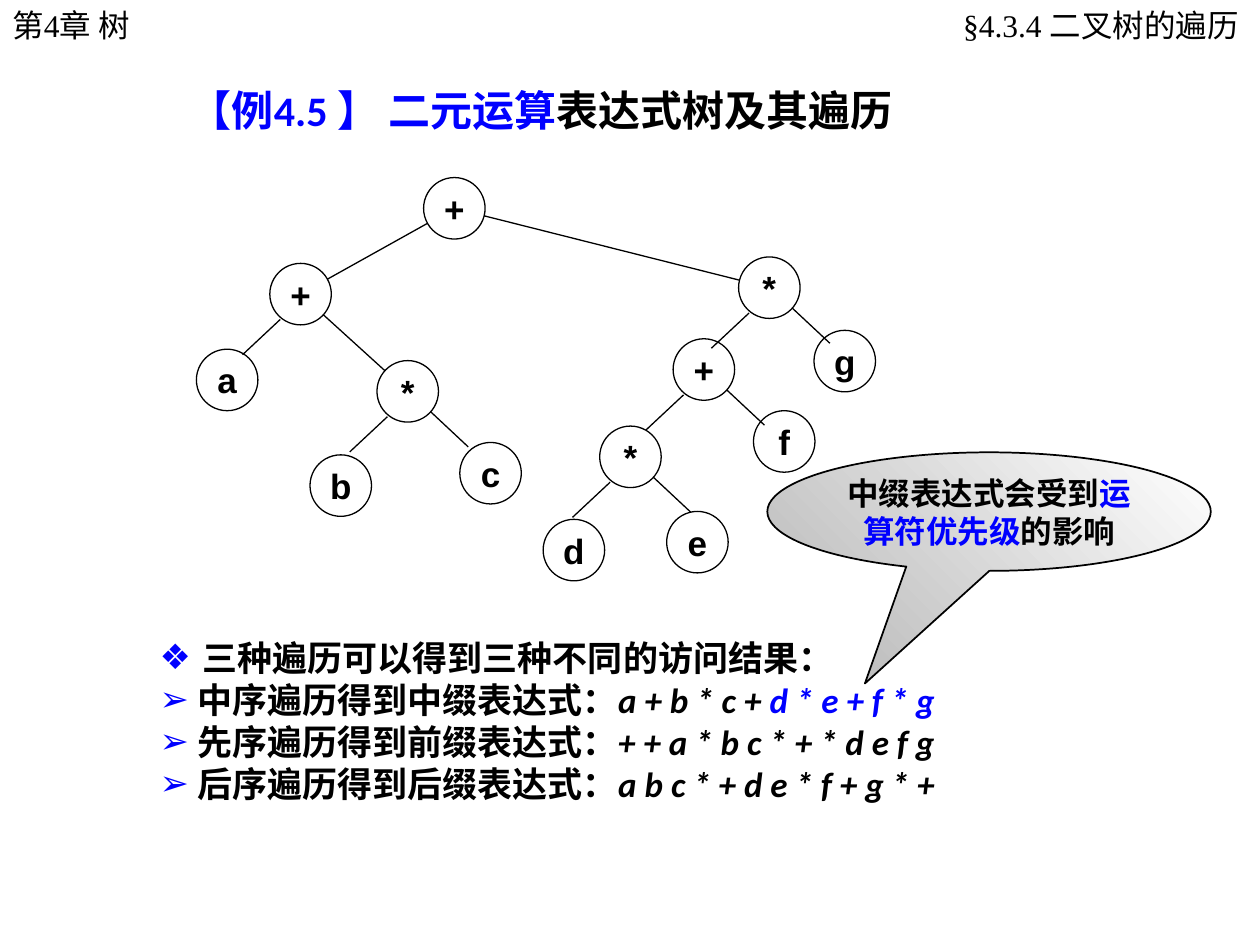
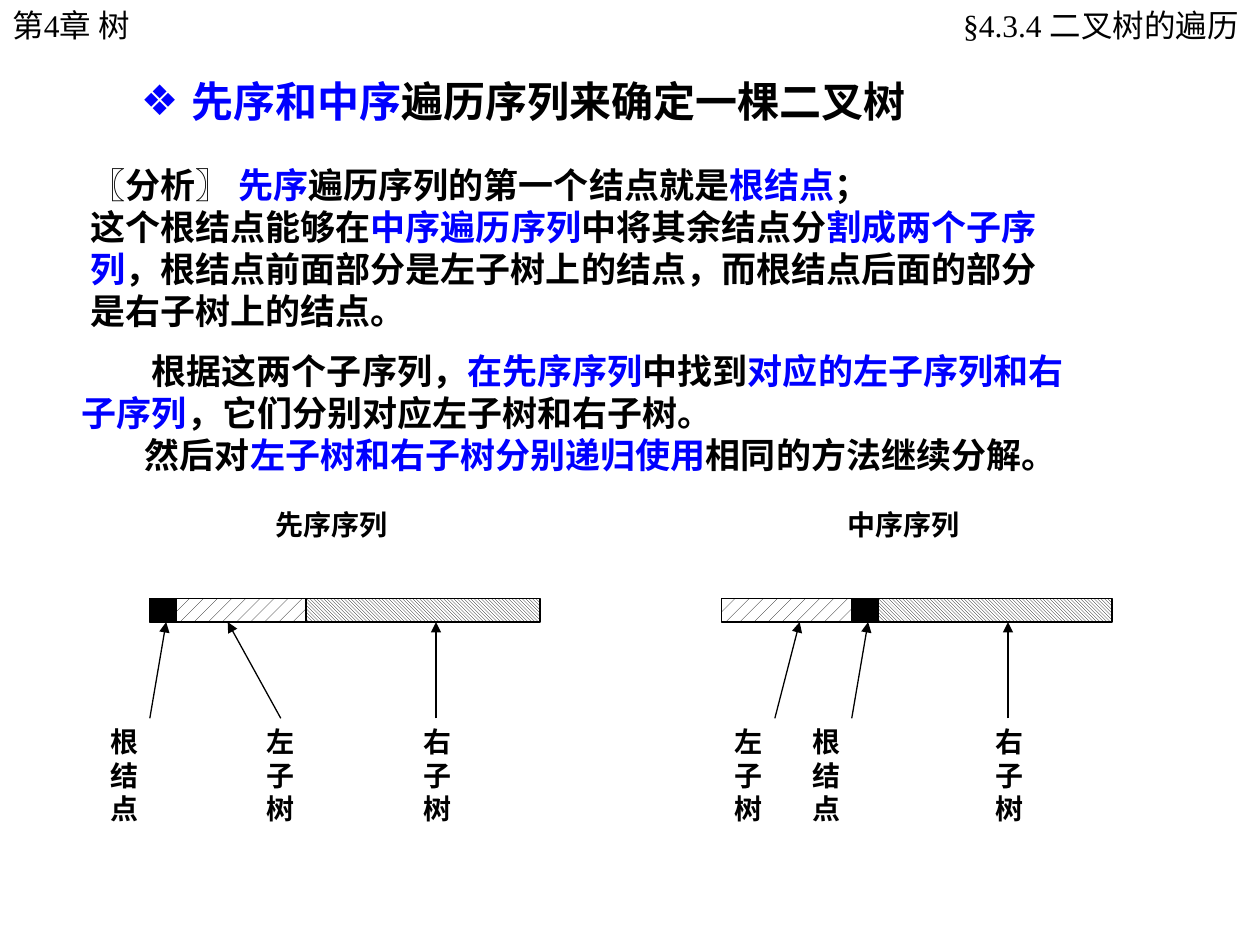
from math import hypot

from lxml import etree
from pptx import Presentation, util as u
from pptx.dml.color import RGBColor
from pptx.enum import dml, shapes, text
from pptx.oxml.ns import qn

COLORS = {"black": "000000", "white": "FFFFFF", "blue": "0000FF", "silver": "C0C0C0"}
BODY, HEAD, NODE = "Calibri", "Times New Roman", "Arial"
ALIGN = text.PP_ALIGN

CHAPTER = [("", 0, [("第4章 树", "black")])]
SECTION = [("", 0, [("§4.3.4 二叉树的遍历", "black")])]

TREE_TITLE = [("", 0, [("【例4.5 】 二元运算", "blue"), ("表达式树及其遍历", "black")])]
TREE = ("+", 9.16, 4.2, [
    ("+", 6.06, 5.93, [
        ("a", 4.58, 7.66, []),
        ("*", 8.22, 7.89, [("b", 6.87, 9.79, []), ("c", 9.89, 9.54, [])]),
    ]),
    ("*", 15.51, 5.8, [
        ("+", 14.19, 7.45, [
            ("*", 12.71, 9.21, [("d", 11.57, 11.09, []), ("e", 14.06, 10.93, [])]),
            ("f", 15.81, 8.9, []),
        ]),
        ("g", 17.03, 7.28, []),
    ]),
])
TRAVERSALS = [
    ("❖", 0.86, [("三种遍历可以得到三种不同的访问结果：", "black")]),
    ("➢", 0.76, [("中序遍历得到中缀表达式：", "black"), ("a + b * c + ", "black", True),
                 ("d * e + f * g", "blue", True)]),
    ("➢", 0.76, [("先序遍历得到前缀表达式：", "black"),
                 ("+ + a * b c * + * d e f g", "black", True)]),
    ("➢", 0.76, [("后序遍历得到后缀表达式：", "black"),
                 ("a b c * + d e * f + g * +", "black", True)]),
]
CALLOUT = [("", 0, [("中缀表达式会受到", "black"), ("运算符优先级", "blue"), ("的影响", "black")])]

REBUILD_TITLE = [("❖", 1.02, [("先序和中序", "blue"), ("遍历序列来确定一棵二叉树", "black")])]
ANALYSIS = [
    ("", 0, [("〖分析〗 ", "black"), ("先序", "blue"), ("遍历序列的第一个结点就是", "black"),
             ("根结点", "blue"), ("；", "black")]),
    ("", 0, [("这个根结点能够在", "black"), ("中序遍历序列", "blue"), ("中将其余结点分", "black"),
             ("割成两个子序列", "blue"),
             ("，根结点前面部分是左子树上的结点，而根结点后面的部分是右子树上的结点。", "black")]),
]
RECURSION = [
    ("", 1.41, [("根据这两个子序列，", "black"), ("在先序序列", "blue"), ("中找到", "black"),
                ("对应的左子序列和右子序列", "blue"),
                ("，它们分别对应左子树和右子树。", "black")]),
    ("", 1.27, [("然后对", "black"), ("左子树和右子树分别递归使用", "blue"),
                ("相同的方法继续分解。", "black")]),
]
PARTS = {
    "根结点": (0.53, None),
    "左子树": (2.62, dml.MSO_PATTERN.PERCENT_10),
    "右子树": (4.72, dml.MSO_PATTERN.LIGHT_DOWNWARD_DIAGONAL),
}
# fields: part, arrow tail, arrow tip, label; offsets from the part's left edge
SEQUENCES = [
    ("先序序列", 3.02, [("根结点", 0, 0.33, -1.04), ("左子树", 2.11, 1.04, 1.57),
                    ("右子树", 2.62, 2.62, 2.11)]),
    ("中序序列", 14.55, [("左子树", 1.07, 1.57, 0), ("根结点", 0, 0.33, -1.04),
                     ("右子树", 2.62, 2.62, 2.11)]),
]
BAR_TOP, BAR_H, LABEL_TOP = 12.06, 0.48, 14.48
NODE_D = 1.24
LONG_EDGE = 2


def rgb(name):
    return RGBColor.from_string(COLORS[name])


def lead_in(p, bullet, indent):
    if not indent:
        return
    pPr = p._p.get_or_add_pPr()
    pPr.set("marL", str(u.Cm(indent) if bullet else 0))
    pPr.set("indent", str(u.Cm(-indent if bullet else indent)))
    if bullet:
        clr = etree.SubElement(pPr, qn("a:buClr"))
        etree.SubElement(clr, qn("a:srgbClr")).set("val", COLORS["blue"])
        etree.SubElement(pPr, qn("a:buFont")).set("typeface", BODY)
        etree.SubElement(pPr, qn("a:buChar")).set("char", bullet)


def write(tf, paras, size, font=BODY, bold=True, align=ALIGN.LEFT):
    tf.word_wrap = True
    for i, (bullet, indent, runs) in enumerate(paras):
        p = tf.add_paragraph() if i else tf.paragraphs[0]
        lead_in(p, bullet, indent)
        p.alignment = align
        for words, color, *italic in runs:
            r = p.add_run()
            r.text = words
            r.font.name, r.font.size, r.font.bold = font, u.Pt(size), bold
            r.font.italic = bool(italic)
            r.font.color.rgb = rgb(color)


def add_text(s, box, paras, size, **style):
    sp = s.shapes.add_textbox(*map(u.Cm, box))
    write(sp.text_frame, paras, size, **style)
    return sp


def add_shape(s, kind, box, width=0.75):
    sp = s.shapes.add_shape(kind, *map(u.Cm, box))
    sp.shadow.inherit = False
    sp.line.color.rgb = rgb("black")
    sp.line.width = u.Pt(width)
    return sp


def add_line(s, ends, arrow=False):
    c = s.shapes.add_connector(shapes.MSO_CONNECTOR.STRAIGHT, *map(u.Cm, ends))
    c.line.color.rgb = rgb("black")
    c.line.width = u.Pt(0.75)
    if arrow:
        etree.SubElement(c.line._get_or_add_ln(), qn("a:tailEnd")).set("type", "triangle")
    etree.SubElement(c._element.spPr, qn("a:effectLst"))


def add_slide(prs, title, title_box):
    s = prs.slides.add_slide(prs.slide_layouts[6])
    add_text(s, title_box, title, 24)
    add_text(s, (0, 0, 5.31, 1.02), CHAPTER, 18, font=HEAD, bold=False)
    sp = add_text(s, (15.7, 0, 9.68, 1.02), SECTION, 18, font=HEAD, bold=False, align=ALIGN.RIGHT)
    sp.text_frame.margin_left, sp.text_frame.margin_right = u.Cm(0.3), u.Cm(0.41)
    return s


def edge_ends(x, y, cx, cy):
    dx, dy = cx - x, cy - y
    if abs(dx) > LONG_EDGE:
        k = NODE_D / 2 / hypot(dx, dy)
        return x + k * dx, y + k * dy, cx - k * dx, cy - k * dy
    if dx < 0:
        return x - 0.41, y + 0.51, x - 1.17, y + 1.22
    return x + 0.46, y + 0.41, x + 1.22, y + 1.12


def draw_tree(s, node):
    label, x, y, children = node
    sp = add_shape(s, shapes.MSO_SHAPE.OVAL, (x - NODE_D / 2, y - NODE_D / 2, NODE_D, NODE_D))
    sp.fill.solid()
    sp.fill.fore_color.rgb = rgb("white")
    tf = sp.text_frame
    tf.margin_left = tf.margin_right = tf.margin_top = tf.margin_bottom = 0
    tf.vertical_anchor = text.MSO_ANCHOR.MIDDLE
    write(tf, [("", 0, [(label, "black")])], 20, font=NODE, align=ALIGN.CENTER)
    for child in children:
        draw_tree(s, child)
        add_line(s, edge_ends(x, y, child[1], child[2]))


def draw_callout(s):
    sp = add_shape(s, shapes.MSO_SHAPE.OVAL_CALLOUT, (15.47, 9.12, 8.94, 2.39), 1)
    sp.adjustments[0], sp.adjustments[1] = -0.28, 1.45
    sp.fill.gradient()
    sp.fill.gradient_angle = 45
    for stop, color in zip(sp.fill.gradient_stops, ("silver", "white")):
        stop.color.rgb = rgb(color)
    sp.text_frame.vertical_anchor = text.MSO_ANCHOR.MIDDLE
    write(sp.text_frame, CALLOUT, 18, align=ALIGN.CENTER)


def draw_sequence(s, name, x, marks):
    add_text(s, (x + 1.57, 10.11, 4.19, 1.45), [("", 0, [(name, "black")])], 16,
             align=ALIGN.CENTER)
    for part, tail, tip, label in marks:
        w, pattern = PARTS[part]
        sp = add_shape(s, shapes.MSO_SHAPE.RECTANGLE, (x, BAR_TOP, w, BAR_H))
        if pattern is None:
            sp.fill.solid()
        else:
            sp.fill.patterned()
            sp.fill.pattern = pattern
            sp.fill.back_color.rgb = rgb("white")
        sp.fill.fore_color.rgb = rgb("black")
        add_line(s, (x + tail, LABEL_TOP, x + tip, BAR_TOP + BAR_H), arrow=True)
        add_text(s, (x + label, LABEL_TOP, 1.57, 3.38), [("", 0, [(part, "black")])], 16,
                 align=ALIGN.JUSTIFY)
        x += w


def main():
    prs = Presentation()
    prs.slide_width, prs.slide_height = u.Cm(25.4), u.Cm(19.05)

    s = add_slide(prs, TREE_TITLE, (3.58, 1.57, 14.91, 1.27))
    add_text(s, (2.97, 12.7, 18.26, 3.68), TRAVERSALS, 20)
    draw_tree(s, TREE)
    draw_callout(s)

    s = add_slide(prs, REBUILD_TITLE, (2.59, 1.4, 16.1, 1.27))
    add_text(s, (1.57, 3.18, 20.24, 3.68), ANALYSIS, 20)
    add_text(s, (1.4, 6.93, 20.83, 2.82), RECURSION, 20)
    for sequence in SEQUENCES:
        draw_sequence(s, *sequence)

    prs.save("out.pptx")


if __name__ == "__main__":
    main()
